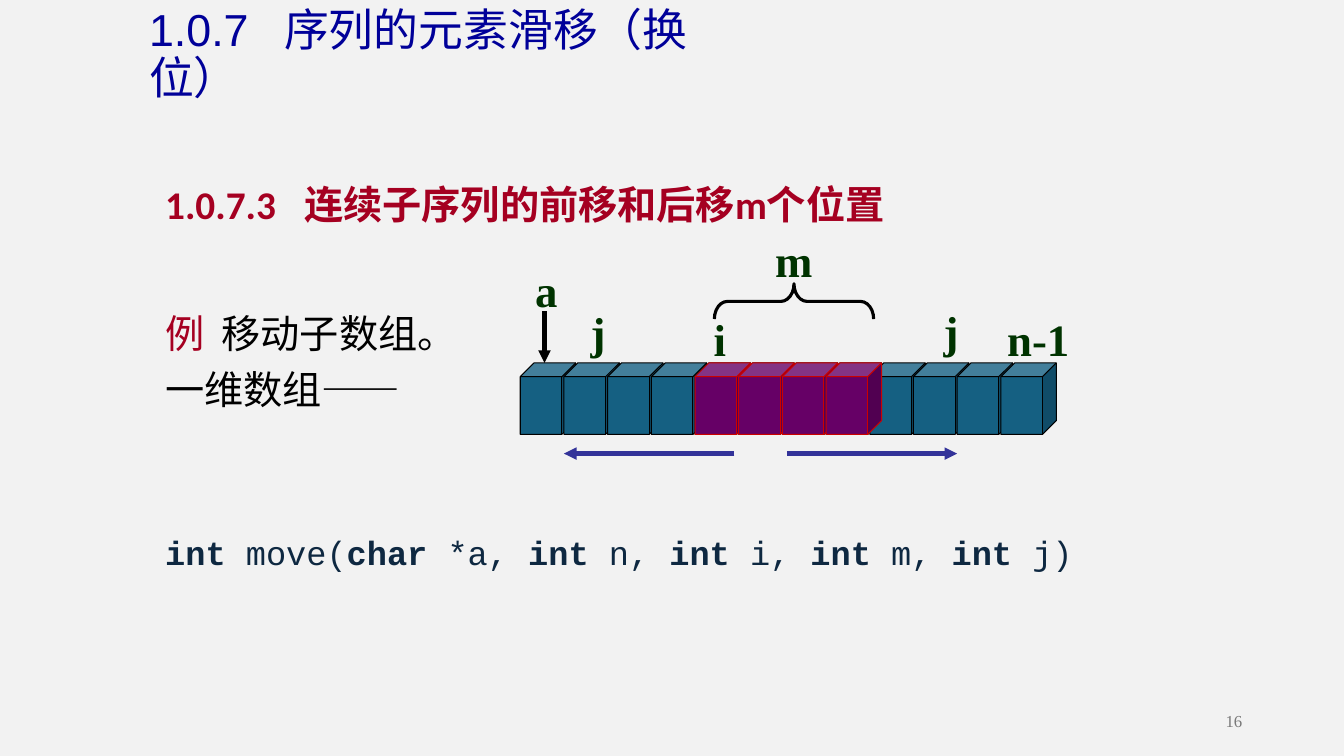
from pptx import Presentation
from pptx.dml.color import RGBColor
from pptx.enum.shapes import MSO_CONNECTOR as Connector, MSO_SHAPE as Shape
from pptx.enum.text import MSO_ANCHOR as Anchor, PP_ALIGN as Align
from pptx.oxml.ns import qn
from pptx.util import Inches, Pt
from lxml.etree import SubElement

PAPER = RGBColor(0xF2, 0xF2, 0xF2)
BLACK = RGBColor(0, 0, 0)
BLUE = RGBColor(0, 0, 0x99)
CRIMSON = RGBColor(0xA5, 0, 0x21)
NAVY = RGBColor(0x0E, 0x28, 0x41)
GREEN = RGBColor(0, 0x33, 0)
GREY = RGBColor(0x79, 0x79, 0x79)
TEAL = RGBColor(0x15, 0x60, 0x82)
PURPLE = RGBColor(0x66, 0, 0x66)
RED = RGBColor(0xCC, 0, 0)
INDIGO = RGBColor(0x33, 0x33, 0x99)
SERIF = "Times New Roman"

TITLE = [("1.0.7\t序列的元素滑移（换位）", "Arial", 32, BLUE, False)]
HEADING = [("1.0.7.3\t连续子序列的前移和后移m个位置", "Calibri", 28, CRIMSON, True)]
EXAMPLE = [("例", SERIF, 28, CRIMSON, False), ("\t移动子数组。", SERIF, 28, BLACK, False)]
ARRAY_NOTE = [("一维数组", SERIF, 28, BLACK, False), ("——", "DejaVu Sans", 28, BLACK, False)]
SIGNATURE = [
    (code, "Courier New", 24, NAVY, bold)
    for code, bold in [
        ("int", True), (" move(", False), ("char", True), (" *a, ", False),
        ("int", True), (" n, ", False), ("int ", True), ("i, ", False),
        ("int", True), (" m, ", False), ("int", True), (" j)", False),
    ]
]
BODY = [
    (HEADING, dict(line=1.5, after=12, tab=1.38, align=Align.JUSTIFY)),
    (EXAMPLE, dict(line=0.9, before=50, tab=0.56)),
    (ARRAY_NOTE, dict(line=0.9, before=10)),
    (SIGNATURE, dict(line=0.9, before=88)),
]
LABELS = [
    ("a", 5.21, 2.56, 0.42), ("i", 6.98, 3.04, 0.32), ("j", 5.76, 2.97, 0.35),
    ("n-1", 9.89, 3.04, 0.82), ("m", 7.59, 2.26, 0.57), ("j", 9.26, 2.96, 0.35),
]

CELLS, MOVED_FROM, MOVED_CELLS = 12, 4, 4
ARRAY_LEFT, ARRAY_TOP = 5.16, 3.6
CELL_PITCH = 5.2 / CELLS
SLIDE_Y, SLIDE_LENGTH = 4.5, 1.69


def cell_left(index):
    return ARRAY_LEFT + index * CELL_PITCH


def write_paragraph(paragraph, runs, line=None, before=None, after=None, tab=None, align=None):
    paragraph.alignment = align
    paragraph.line_spacing = line
    if before is not None:
        paragraph.space_before = Pt(before)
    if after is not None:
        paragraph.space_after = Pt(after)
    if tab:
        tabs = SubElement(paragraph._p.get_or_add_pPr(), qn("a:tabLst"))
        SubElement(tabs, qn("a:tab"), pos=str(Inches(tab)), algn="l")
    for text, font, size, color, bold in runs:
        run = paragraph.add_run()
        run.text = text
        run.font.name = font
        run.font.size = Pt(size)
        run.font.bold = bold
        run.font.color.rgb = color


def add_text(slide, box, paragraphs, anchor=Anchor.TOP, wrap=True):
    frame = slide.shapes.add_textbox(*map(Inches, box)).text_frame
    frame.word_wrap = wrap
    frame.vertical_anchor = anchor
    for index, (runs, layout) in enumerate(paragraphs):
        paragraph = frame.add_paragraph() if index else frame.paragraphs[0]
        write_paragraph(paragraph, runs, **layout)


def add_cells(slide, first, count, fill, edge):
    row = slide.shapes.add_group_shape()
    for index in range(first, first + count):
        box = cell_left(index), ARRAY_TOP, 0.55, 0.71
        cube = row.shapes.add_shape(Shape.CUBE, *map(Inches, box))
        cube.shadow.inherit = False
        cube.fill.solid()
        cube.fill.fore_color.rgb = fill
        cube.line.color.rgb = edge
        cube.line.width = Pt(0.75)


def add_arrow(slide, start, end, color):
    arrow = slide.shapes.add_connector(Connector.STRAIGHT, *map(Inches, start + end))
    arrow.line.color.rgb = color
    arrow.line.width = Pt(3)
    SubElement(arrow.line._get_or_add_ln(), qn("a:tailEnd"), type="triangle")
    SubElement(arrow._element.spPr, qn("a:effectLst"))


def add_brace(slide):
    brace = slide.shapes.add_shape(Shape.RIGHT_BRACE, *map(Inches, (7.7, 2.2, 0.35, 1.58)))
    brace.rotation = 270
    brace.adjustments[0] = 0.37
    brace.shadow.inherit = False
    brace.fill.background()
    brace.line.color.rgb = BLACK
    brace.line.width = Pt(2.25)


def main():
    deck = Presentation()
    deck.slide_width, deck.slide_height = Inches(13.33), Inches(7.5)
    slide = deck.slides.add_slide(deck.slide_layouts[6])
    slide.background.fill.solid()
    slide.background.fill.fore_color.rgb = PAPER

    add_text(slide, (1.38, 0.23, 6.3, 0.65), [(TITLE, dict(line=0.9, tab=1.34))], Anchor.MIDDLE)
    add_text(slide, (1.54, 1.51, 9.52, 4.49), BODY)

    add_cells(slide, 0, CELLS, TEAL, BLACK)
    add_cells(slide, MOVED_FROM, MOVED_CELLS, PURPLE, RED)

    front, back = cell_left(1), cell_left(CELLS - 2)
    add_arrow(slide, (front + SLIDE_LENGTH, SLIDE_Y), (front, SLIDE_Y), INDIGO)
    add_arrow(slide, (back - SLIDE_LENGTH, SLIDE_Y), (back, SLIDE_Y), INDIGO)
    add_arrow(slide, (5.4, 3.09), (5.4, ARRAY_TOP), BLACK)
    add_brace(slide)

    for name, left, top, width in LABELS:
        label = [(name, SERIF, 32, GREEN, True)]
        add_text(slide, (left, top, width, 0.63), [(label, {})], wrap=False)
    number = [("16", SERIF, 12, GREY, False)]
    add_text(slide, (9.42, 6.95, 3, 0.4), [(number, dict(align=Align.RIGHT))], Anchor.MIDDLE)

    deck.save("out.pptx")


if __name__ == "__main__":
    main()
